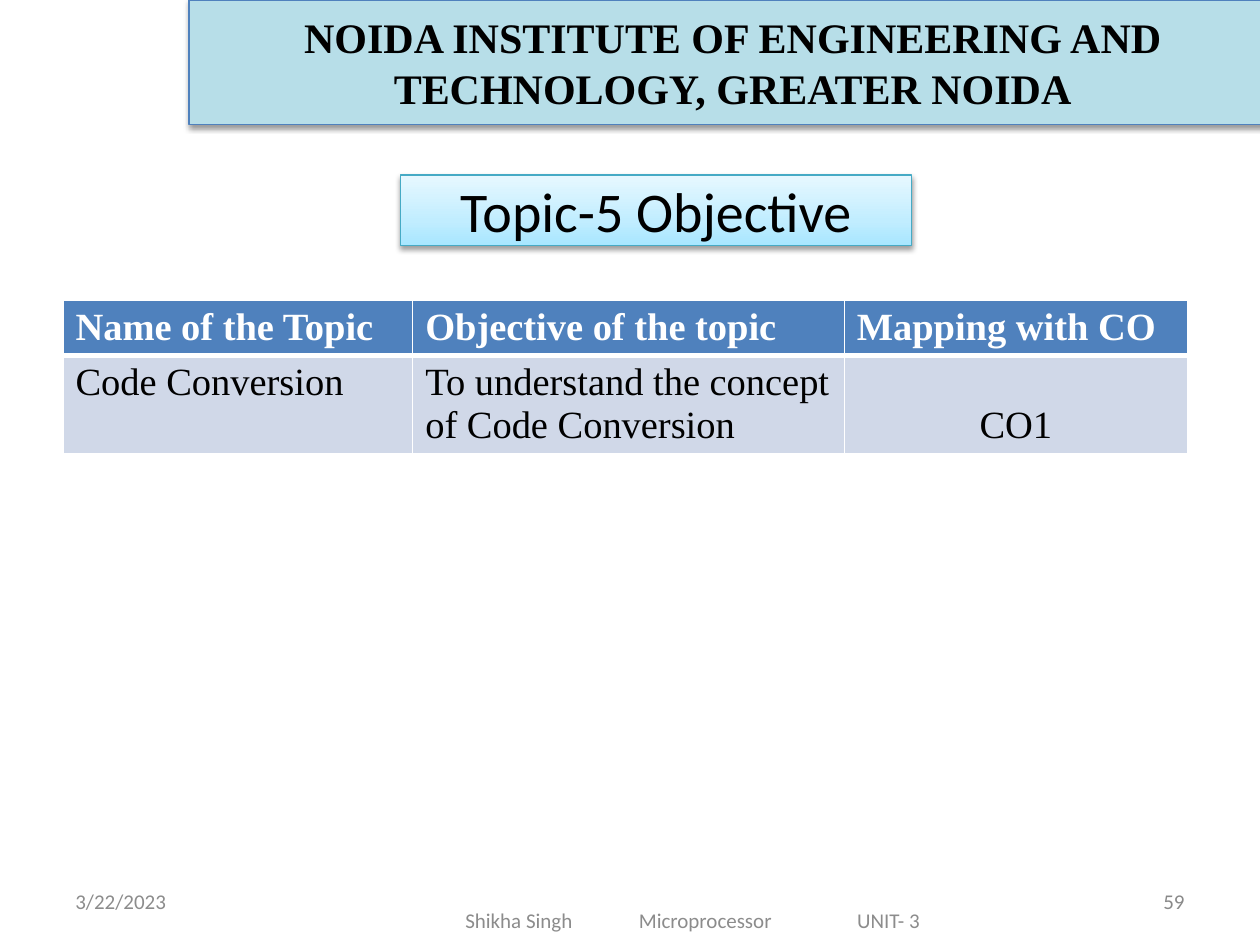
from lxml.etree import SubElement
from pptx import Presentation
from pptx.dml.color import RGBColor
from pptx.enum.shapes import MSO_SHAPE
from pptx.enum.text import MSO_ANCHOR, MSO_AUTO_SIZE, PP_ALIGN
from pptx.oxml.ns import qn
from pptx.util import Cm, Pt

HUES = {
    "black": "000000", "white": "FFFFFF", "blue": "4F81BD", "pale": "D0D8E8",
    "aqua": "B7DEE8", "teal": "46AAC5", "date": "8C8C8C", "page": "898989",
}
FADE = ((0, "A7E6FF"), (35, "C1EDFF"), (100, "E7F8FF"))
SERIF = "Times New Roman"
SANS = "Calibri"
ROWS = (
    ("Name of the Topic", "Objective of the topic", "Mapping with CO"),
    ("Code Conversion", "To understand the concept of Code Conversion", "CO1"),
)
COLS = (7.05, 8.7, 6.92)
HIGH = (1.09, 1.95)


def color(name):
    return RGBColor.from_string(HUES[name])


def node(base, tag, **vals):
    return SubElement(base, qn(tag), {key: str(val) for key, val in vals.items()})


def place(shape, box):
    for name, val in zip(("left", "top", "width", "height"), box):
        setattr(shape, name, Cm(val))


def write(frame, text, size, face, hue, align=PP_ALIGN.LEFT, bold=False, tabs=()):
    para = frame.paragraphs[0]
    para.text = text
    para.alignment = align
    if tabs:
        stops = node(para._p.get_or_add_pPr(), "a:tabLst")
        for pos in tabs:
            node(stops, "a:tab", pos=Cm(pos), algn="l")
    look = {"size": Pt(size), "name": face, "bold": bold}
    for name, val in look.items():
        setattr(para.font, name, val)
    para.font.color.rgb = color(hue)


def setup(frame, **extra):
    look = {"word_wrap": True, "auto_size": MSO_AUTO_SIZE.NONE,
            "vertical_anchor": MSO_ANCHOR.MIDDLE, **extra}
    for name, val in look.items():
        setattr(frame, name, val)


def outline(shape, hue):
    shape.line.color.rgb = color(hue)
    shape.line.width = Pt(0.75)


def shade(shape):
    shape.shadow.inherit = False
    base = shape._element.spPr.find(qn("a:effectLst"))
    cast = node(base, "a:outerShdw", blurRad=Pt(3.1), dist=Pt(1.6),
                dir=5400000, rotWithShape=0)
    ink = node(cast, "a:srgbClr", val=HUES["black"])
    node(ink, "a:alpha", val=38000)


def blend(shape):
    shape.fill.gradient()
    shape.fill.gradient_angle = 90
    stops = shape._element.spPr.find(qn("a:gradFill")).find(qn("a:gsLst"))
    stops.clear()
    for pos, hue in FADE:
        node(node(stops, "a:gs", pos=pos * 1000), "a:srgbClr", val=hue)


def add_title(slide):
    title = slide.shapes.title
    place(title, (3.81, 0, 21.67, 2.51))
    title.fill.solid()
    title.fill.fore_color.rgb = color("aqua")
    outline(title, "blue")
    shade(title)
    setup(title.text_frame, margin_right=0)
    write(title.text_frame, "NOIDA INSTITUTE OF ENGINEERING AND TECHNOLOGY, GREATER NOIDA",
          24, SERIF, "black", PP_ALIGN.CENTER, True)


def add_topic(slide):
    topic = slide.shapes.add_shape(
        MSO_SHAPE.RECTANGLE, Cm(8.08), Cm(3.53), Cm(10.29), Cm(1.42))
    blend(topic)
    outline(topic, "teal")
    shade(topic)
    setup(topic.text_frame)
    write(topic.text_frame, "Topic-5 Objective", 32, SANS, "black", PP_ALIGN.CENTER)


def add_note(slide, box, text, hue, align=PP_ALIGN.LEFT, tabs=(), **extra):
    note = slide.shapes.add_textbox(*map(Cm, box))
    setup(note.text_frame, **extra)
    write(note.text_frame, text, 12, SANS, hue, align, tabs=tabs)


def border(cell, base):
    props = cell._tc.get_or_add_tcPr()
    for index, (side, width) in enumerate(zip("LRTB", (1, 1, 1, base))):
        line = props.makeelement(qn("a:ln" + side), {"w": str(Pt(width))})
        props.insert(index, line)
        node(node(line, "a:solidFill"), "a:srgbClr", val=HUES["white"])


def add_grid(slide):
    grid = slide.shapes.add_table(
        len(ROWS), len(COLS), Cm(1.27), Cm(6.05), Cm(sum(COLS)), Cm(sum(HIGH))).table
    grid.horz_banding = False
    for col, width in zip(grid.columns, COLS):
        col.width = Cm(width)
    for y, (row, high) in enumerate(zip(ROWS, HIGH)):
        grid.rows[y].height = Cm(high)
        head = y == 0
        for x, text in enumerate(row):
            cell = grid.cell(y, x)
            cell.fill.solid()
            cell.fill.fore_color.rgb = color("blue" if head else "pale")
            border(cell, 3 if head else 1)
            write(cell.text_frame, text, 22, SERIF,
                  "white" if head else "black", bold=head)
    last = grid.cell(1, 2)
    last.vertical_anchor = MSO_ANCHOR.BOTTOM
    last.text_frame.paragraphs[0].alignment = PP_ALIGN.CENTER


def main():
    deck = Presentation()
    deck.slide_width, deck.slide_height = Cm(25.4), Cm(19.05)
    slide = deck.slides.add_slide(deck.slide_layouts[5])
    add_note(slide, (1.27, 17.65, 5.92, 1.02), "3/22/2023", "date")
    add_note(slide, (6.99, 18.03, 13.97, 1.02), "Shikha Singh\tMicroprocessor\tUNIT- 3",
             "date", tabs=(3.5, 7.9), margin_left=Cm(2.39))
    add_note(slide, (18.21, 17.65, 5.92, 1.02), "59", "page", PP_ALIGN.RIGHT)
    add_topic(slide)
    add_title(slide)
    add_grid(slide)
    deck.save("out.pptx")


if __name__ == "__main__":
    main()
